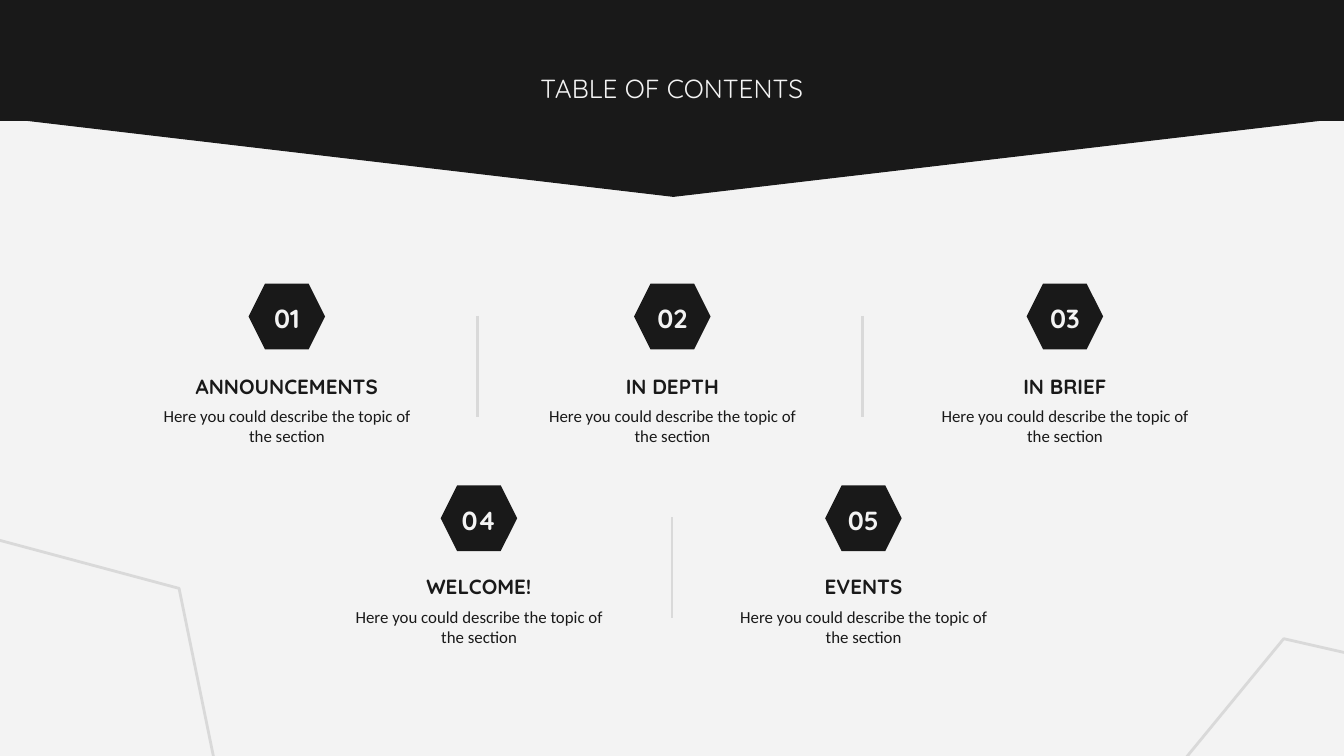
import pptx
import pptx.util
import pptx.dml.color
import pptx.enum.shapes
import pptx.enum.text
import pptx.oxml.ns
from dataclasses import dataclass
from lxml import etree

Pt = pptx.util.Pt
RGB = pptx.dml.color.RGBColor.from_string
SHAPE = pptx.enum.shapes.MSO_SHAPE
ANCHOR = pptx.enum.text.MSO_ANCHOR


@dataclass(frozen=True)
class Theme:
    dark = RGB("191919")
    light = RGB("F3F3F3")
    rule = RGB("D9D9D9")
    display_font = "Quicksand"
    body_font = "Calibri"
    title_size = Pt(14)
    heading_size = Pt(11)
    body_size = Pt(9)
    rule_width = Pt(1.5)


theme = Theme()

deck = pptx.Presentation()
deck.slide_width, deck.slide_height = Pt(720), Pt(405)
slide = deck.slides.add_slide(deck.slide_layouts[6])
slide.background.fill.solid()
slide.background.fill.fore_color.rgb = theme.light


def add_figure(preset, left, top, width, height, fill=None, line=None, rotation=0):
    figure = slide.shapes.add_shape(preset, Pt(left), Pt(top), Pt(width), Pt(height))
    figure.shadow.inherit = False
    figure.rotation = rotation
    if preset == SHAPE.HEXAGON:
        figure.adjustments[0] = 0.25
    if fill:
        figure.fill.solid()
        figure.fill.fore_color.rgb = fill
    else:
        figure.fill.background()
    if line:
        figure.line.color.rgb = line
    else:
        figure.line.fill.background()
    return figure


def add_label(text, center, top, width, height, size, color, font=theme.display_font,
              bold=False, anchor=ANCHOR.MIDDLE):
    label = slide.shapes.add_textbox(Pt(center - width / 2), Pt(top), Pt(width), Pt(height))
    frame = label.text_frame
    frame.word_wrap = True
    frame.vertical_anchor = anchor
    frame.margin_left = frame.margin_right = frame.margin_top = frame.margin_bottom = Pt(7.2)
    paragraph = frame.paragraphs[0]
    paragraph.alignment = pptx.enum.text.PP_ALIGN.CENTER
    run = paragraph.add_run()
    run.text = text
    run.font.name, run.font.size, run.font.bold = font, size, bold
    run.font.color.rgb = color


# Header: a band with a point below it
point = add_figure(SHAPE.ISOSCELES_TRIANGLE, -0.7, 62.6, 722.9, 42.5,
                   fill=theme.dark, line=theme.dark, rotation=180)
point.line.width = Pt(0.75)
add_figure(SHAPE.RECTANGLE, -0.7, -2.9, 722.9, 67.7, fill=theme.dark)
add_label("TABLE OF CONTENTS", 360, 31.7, 234.7, 54, theme.title_size, theme.light,
          anchor=ANCHOR.TOP)

# Sections: three above, two below (center, badge top, heading top)
sections = [
    ("ANNOUNCEMENTS", 153.7, 151.9, 184.3),
    ("IN DEPTH", 360.2, 151.9, 184.3),
    ("IN BRIEF", 570.5, 151.9, 184.3),
    ("WELCOME!", 256.6, 260, 291.6),
    ("EVENTS", 462.6, 260, 291.6),
]
for number, (heading, center, badge_top, heading_top) in enumerate(sections, start=1):
    add_figure(SHAPE.HEXAGON, center - 20.5, badge_top, 41, 35.3, fill=theme.dark)
    add_label(f"{number:02d}", center, badge_top + 6.5, 59, 23.8, theme.title_size,
              theme.light, bold=True)
    add_label(heading, center, heading_top, 126, 45.4, theme.heading_size, theme.dark,
              bold=True)
    add_label("Here you could describe the topic of the section", center, heading_top + 26,
              154.8, 45.4, theme.body_size, theme.dark, font=theme.body_font,
              anchor=ANCHOR.TOP)

# Dividers between neighbouring sections
for x, top in [(255.6, 169.2), (462.2, 169.2), (360, 277.2)]:
    divider = slide.shapes.add_connector(pptx.enum.shapes.MSO_CONNECTOR.STRAIGHT,
                                         Pt(x), Pt(top), Pt(x), Pt(top + 54))
    divider.line.color.rgb = theme.rule
    divider.line.width = theme.rule_width
    etree.SubElement(divider._element.spPr, pptx.oxml.ns.qn("a:effectLst"))

# Outlined hexagons in the lower corners
for left, top, rotation in [(-112.3, 293.8, 15), (596.9, 363.6, 309.4)]:
    corner = add_figure(SHAPE.HEXAGON, left, top, 232.6, 182.2, line=theme.rule,
                        rotation=rotation)
    corner.line.width = theme.rule_width

deck.save("out.pptx")
